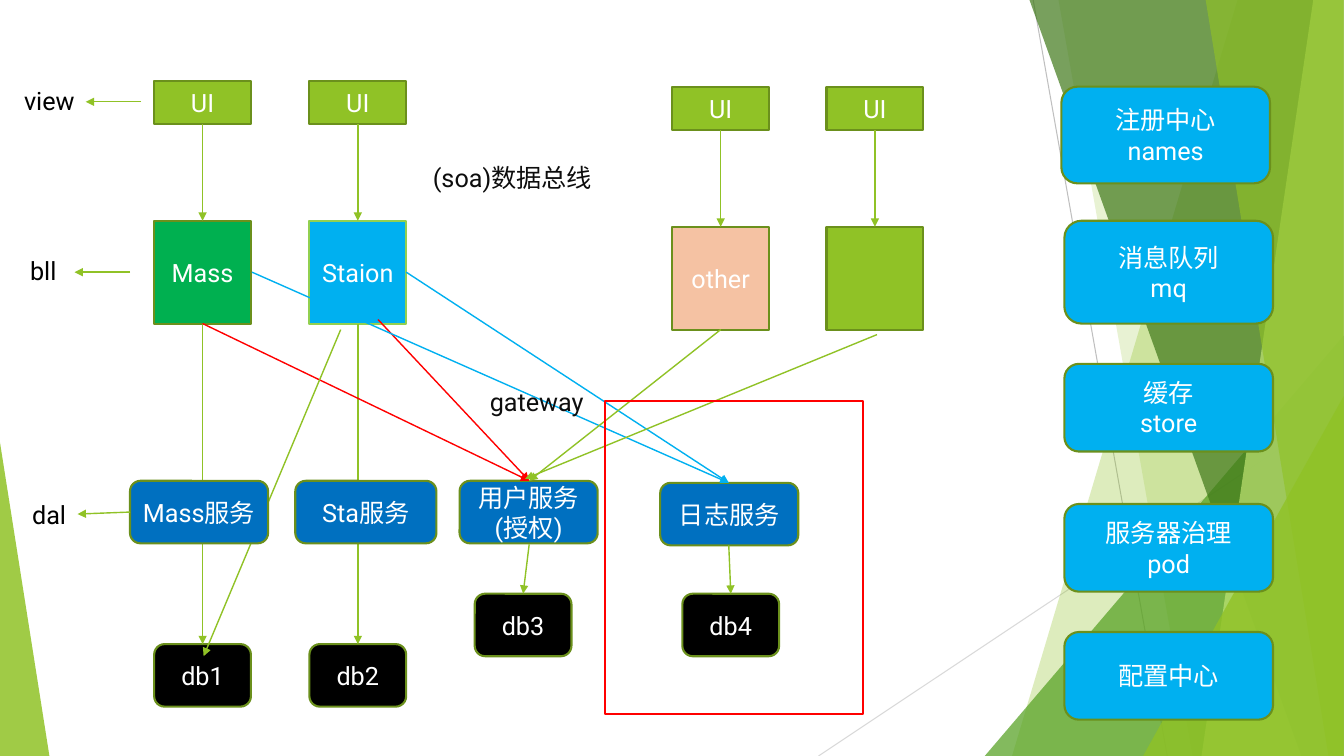
"""Draws a service architecture slide: views, logic, services, databases and platform parts."""
from dataclasses import dataclass
from typing import Optional

from lxml.etree import SubElement
from pptx import Presentation
from pptx.dml.color import RGBColor
from pptx.enum.shapes import MSO_CONNECTOR, MSO_SHAPE
from pptx.enum.text import MSO_ANCHOR, PP_ALIGN
from pptx.oxml.ns import qn
from pptx.util import Pt

PX = 9144
COLORS = {
    "lime": "90C226", "olive": "6B901C", "leaf": "54A021", "forest": "3F7819",
    "pale": "C0E474", "bright": "92D050", "green": "00B050", "sky": "00B0F0",
    "blue": "0070C0", "peach": "F5C2A3", "red": "FF0000", "black": "000000",
    "ink": "0D0D0D", "white": "FFFFFF", "gray": "BFBFBF", "silver": "D9D9D9",
}
RECT = MSO_SHAPE.RECTANGLE
ROUND = MSO_SHAPE.ROUNDED_RECTANGLE


@dataclass
class Box:
    """A preset shape with centred text."""
    x: int
    y: int
    w: int
    h: int
    text: str = ""
    fill: Optional[str] = "lime"
    line: Optional[str] = "olive"
    kind: MSO_SHAPE = RECT
    color: str = "white"


@dataclass
class Link:
    """A straight line, with an arrowhead at its end by default."""
    x1: int
    y1: int
    x2: int
    y2: int
    color: str = "lime"
    width: float = 1
    arrow: bool = True


@dataclass
class Facet:
    """A translucent four-sided background panel reaching the right edge."""
    top: int
    bottom: int
    color: str
    alpha: int


@dataclass
class Wedge:
    """A translucent right triangle in the background."""
    x: int
    y: int
    w: int
    h: int
    color: str
    alpha: int
    apex: int = 1


@dataclass
class Label:
    """A layer name at the left edge."""
    x: int
    y: int
    w: int
    text: str
    wrap: bool = True


def rgb(name: str) -> RGBColor:
    """Return the named colour."""
    return RGBColor.from_string(COLORS[name])


def write(tf, text: str, color="white", align=PP_ALIGN.CENTER, anchor=MSO_ANCHOR.MIDDLE,
          wrap=True) -> None:
    """Fill a text frame, one paragraph per line of text."""
    tf.word_wrap = wrap
    tf.vertical_anchor = anchor
    for i, row in enumerate(text.split("\n")):
        p = tf.paragraphs[0] if i == 0 else tf.add_paragraph()
        p.alignment = align
        r = p.add_run()
        r.text = row
        r.font.name = "Roboto"
        r.font.size = Pt(18)
        r.font.color.rgb = rgb(color)


def tint(sp, color: str, alpha: int) -> None:
    """Give a background shape a translucent fill and no outline."""
    sp.shadow.inherit = False
    sp.line.fill.background()
    sp.fill.solid()
    sp.fill.fore_color.rgb = rgb(color)
    clr = sp._element.spPr.find(qn("a:solidFill"))[0]
    SubElement(clr, qn("a:alpha"), val=str(alpha * 1000))


def draw_facet(s, facet: Facet) -> None:
    """Draw a background panel."""
    fb = s.shapes.build_freeform(facet.top, -1, scale=PX)
    fb.add_line_segments([(1333, -1), (1333, 750), (facet.bottom, 750)], close=True)
    tint(fb.convert_to_shape(), facet.color, facet.alpha)


def draw_wedge(s, wedge: Wedge) -> None:
    """Draw a background triangle."""
    sp = s.shapes.add_shape(MSO_SHAPE.ISOSCELES_TRIANGLE, wedge.x * PX, wedge.y * PX,
                            wedge.w * PX, wedge.h * PX)
    sp.adjustments[0] = wedge.apex
    tint(sp, wedge.color, wedge.alpha)


def draw_box(s, box: Box) -> None:
    """Draw a box and its text."""
    sp = s.shapes.add_shape(box.kind, box.x * PX, box.y * PX, box.w * PX, box.h * PX)
    sp.shadow.inherit = False
    if box.fill:
        sp.fill.solid()
        sp.fill.fore_color.rgb = rgb(box.fill)
    else:
        sp.fill.background()
    if box.line:
        sp.line.color.rgb = rgb(box.line)
        sp.line.width = Pt(1.5)
    else:
        sp.line.fill.background()
    if box.text:
        write(sp.text_frame, box.text, color=box.color)


def draw_link(s, link: Link) -> None:
    """Draw a line or an arrow."""
    c = s.shapes.add_connector(MSO_CONNECTOR.STRAIGHT, link.x1 * PX, link.y1 * PX,
                               link.x2 * PX, link.y2 * PX)
    c.line.color.rgb = rgb(link.color)
    c.line.width = Pt(link.width)
    if link.arrow:
        SubElement(c._element.spPr.find(qn("a:ln")), qn("a:tailEnd"), type="triangle")
    SubElement(c._element.spPr, qn("a:effectLst"))


def draw_label(s, label: Label) -> None:
    """Draw a layer name."""
    sp = s.shapes.add_textbox(label.x * PX, label.y * PX, label.w * PX, 40 * PX)
    write(sp.text_frame, label.text, color="black", align=PP_ALIGN.LEFT,
          anchor=MSO_ANCHOR.TOP, wrap=label.wrap)


BACKGROUND = [
    Link(1025, 0, 1158, 750, "gray", 0.75, False),
    Link(1333, 403, 812, 750, "silver", 0.75, False),
    Facet(1228, 1004, "lime", 30), Facet(1050, 1183, "lime", 20),
    Wedge(977, 333, 356, 417, "leaf", 72),
    Facet(1021, 1291, "forest", 70), Facet(1303, 1192, "pale", 70), Facet(1196, 1318, "lime", 65),
    Wedge(1134, 393, 199, 357, "lime", 80), Wedge(0, 439, 49, 311, "lime", 85, 0),
]
APPS = [(153, 80, "Mass", "green", "olive"), (307, 80, "Staion", "sky", "bright"),
        (667, 86, "other", "peach", "olive"), (820, 86, "", "lime", "olive")]
DATABASES = [(153, 639, "db1"), (307, 639, "db2"), (471, 589, "db3"), (677, 589, "db4")]
SERVICES = [(456, 477, 137, "用户服务(授权)"), (655, 479, 137, "日志服务")]
FRONT_SERVICES = [(293, 477, 140, "Sta服务"), (129, 477, 137, "Mass服务")]
PLATFORM = [(1053, 86, 96, "注册中心\nnames"), (1056, 219, 102, "消息队列\nmq"),
            (1056, 361, 87, "缓存\nstore"), (1056, 500, 87, "服务器治理\npod"),
            (1056, 627, 87, "配置中心")]
LINKS = [
    Link(201, 321, 201, 639), Link(355, 321, 355, 639),
    Link(525, 540, 519, 589), Link(723, 541, 725, 589),
    Link(375, 317, 525, 477, "red"), Link(201, 321, 525, 477, "red"),
    Link(403, 270, 723, 479, "sky"), Link(250, 270, 723, 479, "sky"),
    Link(715, 327, 525, 477), Link(870, 332, 521, 475), Link(338, 327, 202, 651),
]
CAPTIONS = [
    Box(158, 378, 749, 40, "gateway", None, None, ROUND, "ink"),
    Box(387, 147, 243, 59, "(soa)数据总线", None, None, ROUND, "ink"),
    Box(600, 398, 256, 310, fill=None, line="red"),
]
LAYERS = [
    Link(129, 270, 74, 270), Link(129, 508, 77, 510), Link(140, 101, 85, 101),
    Label(20, 248, 65, "bll"), Label(22, 490, 55, "dal", False), Label(14, 80, 96, "view"),
]
DRAW = {Box: draw_box, Link: draw_link, Facet: draw_facet, Wedge: draw_wedge, Label: draw_label}


def main() -> None:
    """Build the slide from back to front and save it."""
    prs = Presentation()
    prs.slide_width, prs.slide_height = 12192000, 6858000
    s = prs.slides.add_slide(prs.slide_layouts[6])
    items = list(BACKGROUND)
    for x, y, text, fill, line in APPS:
        items += [Box(x, y, 96, 43, "UI"), Box(x, y + 139, 96, 102, text, fill, line),
                  Link(x + 48, y + 43, x + 48, y + 139)]
    items += [Box(x, y, 96, 62, text, "black", kind=ROUND) for x, y, text in DATABASES]
    items += [Box(x, y, w, 62, text, "blue", kind=ROUND) for x, y, w, text in SERVICES]
    items += LINKS + CAPTIONS
    items += [Box(x, y, w, 62, text, "blue", kind=ROUND) for x, y, w, text in FRONT_SERVICES]
    items += [Box(x, y, 207, h, text, "sky", kind=ROUND) for x, y, h, text in PLATFORM]
    for item in items + LAYERS:
        DRAW[type(item)](s, item)
    prs.save("out.pptx")


if __name__ == "__main__":
    main()
